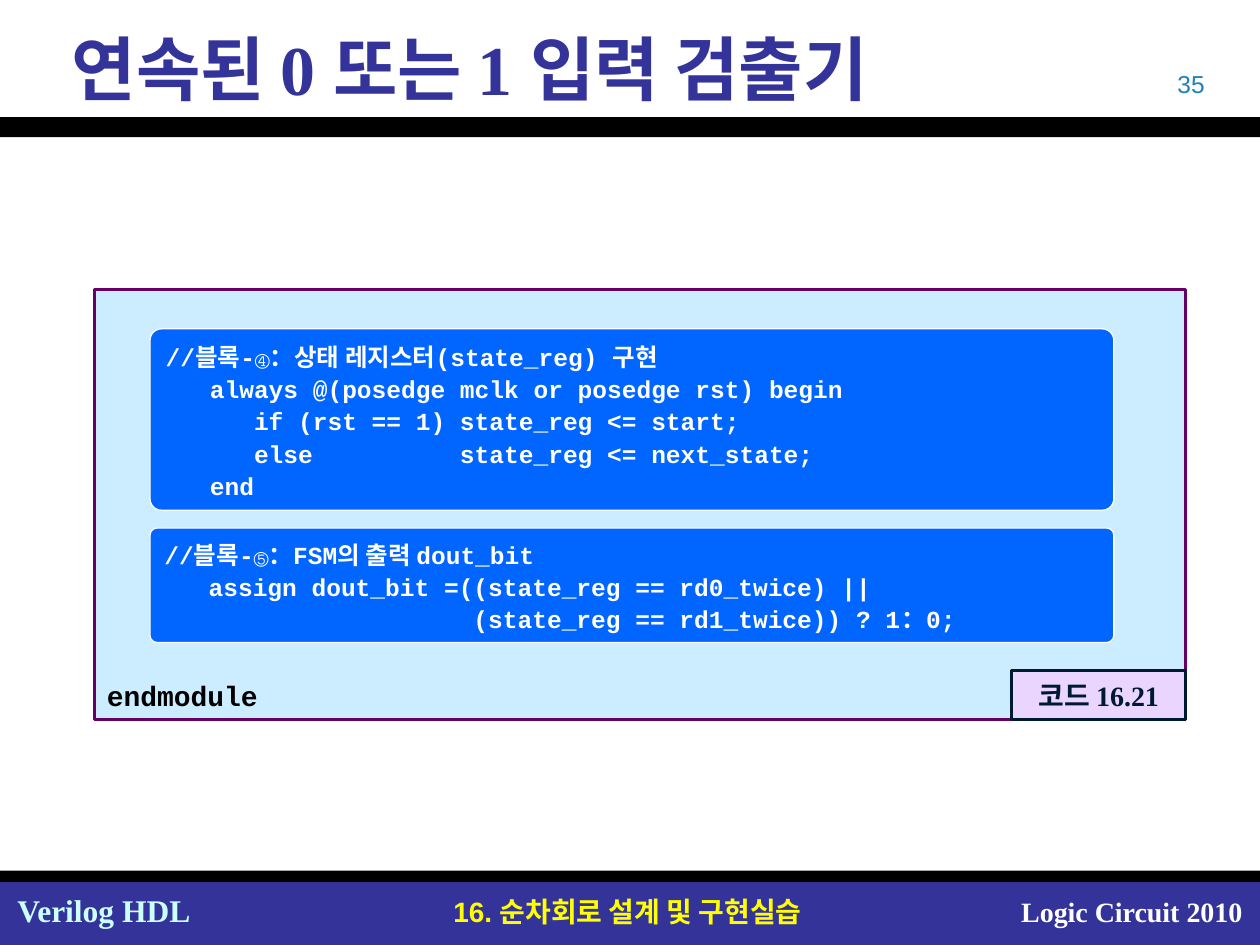
from dataclasses import dataclass

from pptx import Presentation
from pptx.dml.color import RGBColor
from pptx.enum.shapes import MSO_SHAPE
from pptx.enum.text import MSO_ANCHOR, PP_ALIGN
from pptx.util import Inches, Pt


@dataclass(frozen=True)
class Frame:
    left: float
    top: float
    width: float
    height: float

    def lengths(self) -> list:
        return [Inches(v) for v in (self.left, self.top, self.width, self.height)]


@dataclass(frozen=True)
class Style:
    name: str
    size: int
    color: str
    bold: bool = True
    align: PP_ALIGN = PP_ALIGN.LEFT
    anchor: MSO_ANCHOR = MSO_ANCHOR.MIDDLE
    spacing: float = 1.0
    left_inset: float = 0.1
    right_inset: float = 0.1
    wrap: bool = True


@dataclass(frozen=True)
class Panel:
    frame: Frame
    fill: str
    line: str = ""
    line_width: float = 1.5
    corner: float = 0
    text: str = ""
    style: Style | None = None


@dataclass(frozen=True)
class Label:
    frame: Frame
    text: str
    style: Style


SERIF, SANS, MONO = "Times New Roman", "Arial", "Courier New"
NAVY, BLACK, WHITE, INK = "333399", "000000", "FFFFFF", "001932"
CODE = Style(MONO, 14, WHITE, spacing=1.1)

STATE_REGISTER = """//블록-④：상태 레지스터(state_reg) 구현
   always @(posedge mclk or posedge rst) begin
      if (rst == 1) state_reg <= start;
      else          state_reg <= next_state;
   end"""
OUTPUT_LOGIC = """//블록-⑤：FSM의 출력 dout_bit
   assign dout_bit =((state_reg == rd0_twice) ||
                     (state_reg == rd1_twice)) ? 1：0;"""

BARS = [
    Panel(Frame(0, 7, 10, 0.5), NAVY),
    Panel(Frame(0, 0.93, 10, 0.16), BLACK),
    Panel(Frame(0, 6.91, 10, 0.09), BLACK),
]
LABELS = [
    Label(Frame(3.03, 7.05, 3.9, 0.37), "16. 순차회로 설계 및 구현실습",
          Style(SANS, 16, "FFFF00", align=PP_ALIGN.CENTER, anchor=MSO_ANCHOR.TOP)),
    Label(Frame(7.33, 7.05, 2.63, 0.37), "Logic Circuit 2010",
          Style(SERIF, 16, WHITE, align=PP_ALIGN.RIGHT, anchor=MSO_ANCHOR.TOP)),
    Label(Frame(0.04, 7.02, 1.58, 0.4), "Verilog HDL",
          Style(SERIF, 18, "CCFFFF", anchor=MSO_ANCHOR.TOP, right_inset=0.02)),
    Label(Frame(7.33, 0.5, 2.33, 0.33), "35",
          Style(SANS, 14, "2181B7", bold=False, align=PP_ALIGN.RIGHT,
                anchor=MSO_ANCHOR.TOP)),
    Label(Frame(0.17, 0.21, 9.67, 0.65), "연속된 0 또는 1 입력 검출기",
          Style(SERIF, 40, NAVY, left_inset=0.4)),
]
LISTING = [
    Panel(Frame(0.75, 2.3, 8.66, 3.41), "CCECFF", "660066", text="endmodule",
          style=Style(MONO, 16, BLACK, anchor=MSO_ANCHOR.BOTTOM, spacing=0.95)),
    Panel(Frame(8.03, 5.32, 1.38, 0.39), "EAD5FF", INK, text="코드 16.21",
          style=Style(SERIF, 16, INK, align=PP_ALIGN.CENTER, wrap=False)),
    Panel(Frame(1.19, 2.61, 7.65, 1.44), "0066FF", WHITE, 0.75, 0.064,
          STATE_REGISTER, CODE),
    Panel(Frame(1.19, 4.19, 7.65, 0.91), "0066FF", WHITE, 0.75, 0.064,
          OUTPUT_LOGIC, CODE),
]


def rgb(color: str) -> RGBColor:
    return RGBColor.from_string(color)


def write(text_frame, text: str, style: Style) -> None:
    frame_format = {
        "word_wrap": style.wrap,
        "vertical_anchor": style.anchor,
        "margin_left": Inches(style.left_inset),
        "margin_right": Inches(style.right_inset),
        "margin_top": Inches(0.05),
        "margin_bottom": Inches(0.05),
    }
    for attribute, value in frame_format.items():
        setattr(text_frame, attribute, value)
    text_frame.text = text
    font_format = {"name": style.name, "size": Pt(style.size), "bold": style.bold}
    for paragraph in text_frame.paragraphs:
        paragraph.alignment = style.align
        paragraph.line_spacing = style.spacing
        for run in paragraph.runs:
            for attribute, value in font_format.items():
                setattr(run.font, attribute, value)
            run.font.color.rgb = rgb(style.color)


def draw_panel(slide, panel: Panel) -> None:
    kind = MSO_SHAPE.ROUNDED_RECTANGLE if panel.corner else MSO_SHAPE.RECTANGLE
    shape = slide.shapes.add_shape(kind, *panel.frame.lengths())
    shape.shadow.inherit = False
    if panel.corner:
        shape.adjustments[0] = panel.corner
    shape.fill.solid()
    shape.fill.fore_color.rgb = rgb(panel.fill)
    if panel.line:
        shape.line.color.rgb = rgb(panel.line)
        shape.line.width = Pt(panel.line_width)
    else:
        shape.line.fill.background()
    if panel.style:
        write(shape.text_frame, panel.text, panel.style)


def draw_label(slide, label: Label) -> None:
    box = slide.shapes.add_textbox(*label.frame.lengths())
    write(box.text_frame, label.text, label.style)


def main() -> None:
    presentation = Presentation()
    presentation.slide_width = Inches(10)
    presentation.slide_height = Inches(7.5)
    slide = presentation.slides.add_slide(presentation.slide_layouts[6])
    for bar in BARS:
        draw_panel(slide, bar)
    for label in LABELS:
        draw_label(slide, label)
    for panel in LISTING:
        draw_panel(slide, panel)
    presentation.save("out.pptx")


if __name__ == "__main__":
    main()
